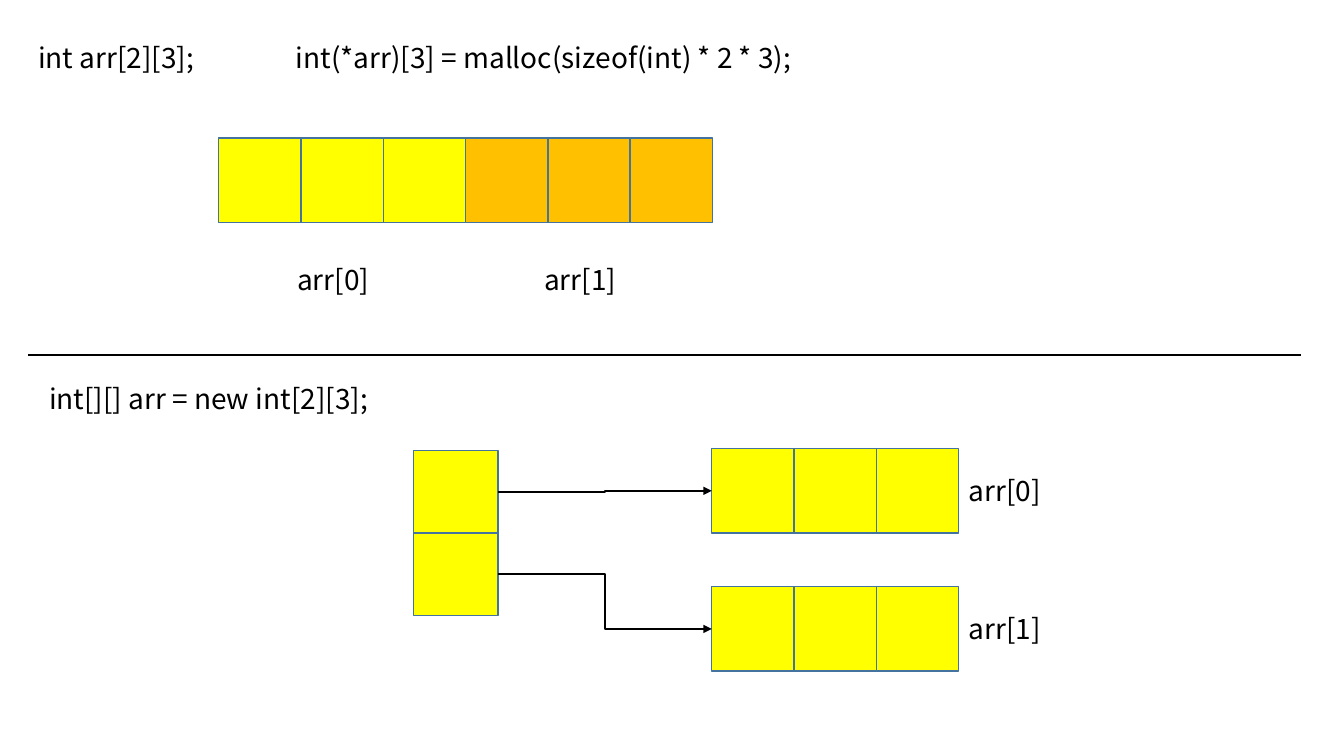
from dataclasses import dataclass

from lxml import etree
from pptx import Presentation
from pptx.dml.color import RGBColor
from pptx.enum.shapes import MSO_CONNECTOR, MSO_SHAPE
from pptx.enum.text import MSO_AUTO_SIZE, PP_ALIGN
from pptx.oxml.ns import qn
from pptx.util import Pt

RECTANGLE = MSO_SHAPE.RECTANGLE
STRAIGHT, ELBOW = MSO_CONNECTOR.STRAIGHT, MSO_CONNECTOR.ELBOW
FIT_TEXT = MSO_AUTO_SIZE.SHAPE_TO_FIT_TEXT
ALIGN_LEFT = PP_ALIGN.LEFT
LEFT_SITE, RIGHT_SITE = 1, 3

FONT = "Noto Sans CJK KR"
YELLOW, ORANGE, OUTLINE, BLACK = "FFFF00", "FFC000", "43739E", "000000"
SHORT_SIDE, LONG_SIDE = 58.8, 60.5
ROW_LENGTH = 3
HEAP_LEFT = 508.4


@dataclass
class CellStrip:
    left: float
    top: float
    count: int
    color: str
    vertical: bool = False


@dataclass
class Label:
    text: str
    left: float
    top: float
    width: float = 75
    tab_stop: float = 0


def rgb(color: str) -> RGBColor:
    return RGBColor.from_string(color)


def draw_strip(shapes, strip: CellStrip) -> list:
    """Draw touching cells along one axis and return them in order."""
    width, height = SHORT_SIDE, LONG_SIDE
    step_x, step_y = SHORT_SIDE, 0
    if strip.vertical:
        width, height, step_x, step_y = height, width, step_y, step_x
    cells = []
    for index in range(strip.count):
        cell = shapes.add_shape(
            RECTANGLE, Pt(strip.left + index * step_x),
            Pt(strip.top + index * step_y), Pt(width), Pt(height))
        cell.shadow.inherit = False
        cell.fill.solid()
        cell.fill.fore_color.rgb = rgb(strip.color)
        cell.line.color.rgb = rgb(OUTLINE)
        cell.line.width = Pt(1)
        cells.append(cell)
    return cells


def draw_label(shapes, label: Label) -> None:
    box = shapes.add_textbox(Pt(label.left), Pt(label.top), Pt(label.width), Pt(31.5))
    frame = box.text_frame
    frame.word_wrap = False
    frame.auto_size = FIT_TEXT
    paragraph = frame.paragraphs[0]
    paragraph.text = label.text
    paragraph.alignment = ALIGN_LEFT
    paragraph.font.name = FONT
    paragraph.font.size = Pt(20)
    paragraph.font.color.rgb = rgb(BLACK)
    if label.tab_stop:
        tabs = etree.Element(qn("a:tabLst"))
        etree.SubElement(tabs, qn("a:tab"), pos=str(Pt(label.tab_stop)), algn="l")
        paragraph._p.get_or_add_pPr().insert(0, tabs)


def draw_line(shapes, kind, left: float = 0, top: float = 0, right: float = 0):
    line = shapes.add_connector(kind, Pt(left), Pt(top), Pt(right), Pt(top))
    line.line.color.rgb = rgb(BLACK)
    line.line.width = Pt(1.5)
    etree.SubElement(line._element.spPr, qn("a:effectLst"))
    return line


def draw_pointer(shapes, source, target) -> None:
    pointer = draw_line(shapes, ELBOW)
    pointer.begin_connect(source, RIGHT_SITE)
    pointer.end_connect(target, LEFT_SITE)
    etree.SubElement(pointer.line._get_or_add_ln(), qn("a:tailEnd"), type="triangle")


presentation = Presentation()
presentation.slide_width, presentation.slide_height = Pt(960), Pt(540)
slide = presentation.slides.add_slide(presentation.slide_layouts[6])
shapes = slide.shapes

# Contiguous array: both rows side by side
for row, color in enumerate((YELLOW, ORANGE)):
    row_left = 156.2 + row * ROW_LENGTH * SHORT_SIDE
    draw_strip(shapes, CellStrip(row_left, 98.6, ROW_LENGTH, color))
    draw_label(shapes, Label(f"arr[{row}]", row_left + 49, 183.6))

# Divider
draw_line(shapes, STRAIGHT, 20.2, 253.4, 929.5)

# Array of references: each cell points to its own row
references = draw_strip(shapes, CellStrip(295.2, 322, 2, YELLOW, vertical=True))
for row, reference in enumerate(references):
    row_top = 320.4 + row * 98.6
    cells = draw_strip(shapes, CellStrip(HEAP_LEFT, row_top, ROW_LENGTH, YELLOW))
    draw_pointer(shapes, reference, cells[0])
    label_left = HEAP_LEFT + ROW_LENGTH * SHORT_SIDE
    draw_label(shapes, Label(f"arr[{row}]", label_left, row_top + 14.4))

# Declarations
draw_label(shapes, Label("int arr[2][3];\tint(*arr)[3] = malloc(sizeof(int) * 2 * 3);",
                         20.2, 25.2, 695, tab_stop=184))
draw_label(shapes, Label("int[][] arr = new int[2][3];", 28, 268.6, 297.4))

presentation.save("out.pptx")
